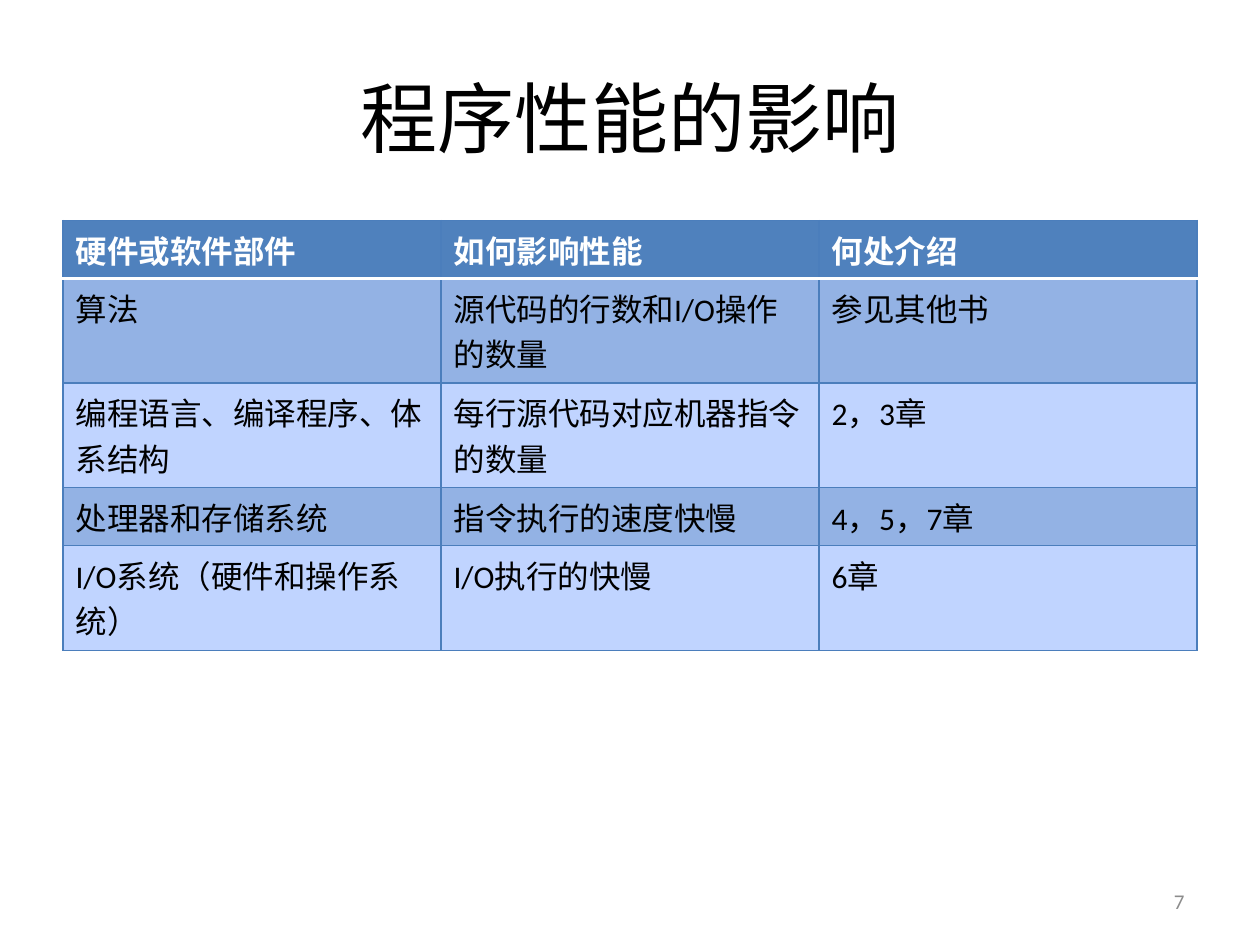
from lxml.etree import SubElement
from pptx import Presentation
from pptx.dml.color import RGBColor
from pptx.enum.lang import MSO_LANGUAGE_ID as Language
from pptx.enum.text import MSO_ANCHOR as Anchor, PP_ALIGN as Align
from pptx.oxml.ns import qn
from pptx.util import Inches, Pt

COLORS = {
    "text": "000000",
    "header_text": "FFFFFF",
    "number": "8C8C8C",
    "header": "4F81BD",
    "band_dark": "93B2E4",
    "band_light": "C0D4FF",
    "border": "4B7EBC",
    "header_rule": "FFFFFF",
}
TITLE = {"size": Pt(44), "bold": False}
HEADER = {"size": Pt(18), "bold": True}
BODY = {"size": Pt(18), "bold": False}
NUMBER = {"size": Pt(12), "bold": False}

ONE_LINE, TWO_LINES = 0.46, 0.83
ROWS = [
    (ONE_LINE, ("硬件或软件部件", "如何影响性能", "何处介绍")),
    (TWO_LINES, ("算法", "源代码的行数和I/O操作的数量", "参见其他书")),
    (TWO_LINES, ("编程语言、编译程序、体系结构", "每行源代码对应机器指令的数量", "2，3章")),
    (ONE_LINE, ("处理器和存储系统", "指令执行的速度快慢", "4，5，7章")),
    (TWO_LINES, ("I/O系统（硬件和操作系统）", "I/O执行的快慢", "6章")),
]


def write(frame, text, style, color, align=Align.LEFT):
    para = frame.paragraphs[0]
    para.alignment = align
    span = para.add_run()
    span.text = text
    values = {"name": "Calibri", "language_id": Language.SIMPLIFIED_CHINESE, **style}
    for name, value in values.items():
        setattr(span.font, name, value)
    span.font.color.rgb = RGBColor.from_string(COLORS[color])


def add_label(page, box, text, style, color, align):
    frame = page.shapes.add_textbox(*map(Inches, box)).text_frame
    frame.word_wrap = True
    frame.vertical_anchor = Anchor.MIDDLE
    write(frame, text, style, color, align)


def add_border(cell, side, color, width):
    line = SubElement(cell._tc.get_or_add_tcPr(), qn(f"a:ln{side}"), w=str(Pt(width)))
    fill = SubElement(line, qn("a:solidFill"))
    SubElement(fill, qn("a:srgbClr"), val=COLORS[color])


def add_performance_table(page, box):
    left, top, width, height = map(Inches, box)
    columns = len(ROWS[0][1])
    table = page.shapes.add_table(len(ROWS), columns, left, top, width, height).table
    table.horz_banding = False
    for row, (row_height, texts) in enumerate(ROWS):
        table.rows[row].height = Inches(row_height)
        is_header = row == 0
        band = "header" if is_header else ("band_light", "band_dark")[row % 2]
        # The white rule is shared by the header and the first body row
        ruled_side = {0: "B", 1: "T"}.get(row)
        for column, text in enumerate(texts):
            cell = table.cell(row, column)
            for side in "LRTB":
                rule = ("header_rule", 2) if side == ruled_side else ("border", 0.75)
                add_border(cell, side, *rule)
            cell.fill.solid()
            cell.fill.fore_color.rgb = RGBColor.from_string(COLORS[band])
            write(cell.text_frame, text, HEADER if is_header else BODY,
                  "header_text" if is_header else "text")


def main():
    deck = Presentation()
    deck.slide_width, deck.slide_height = Inches(10), Inches(7.5)
    page = deck.slides.add_slide(deck.slide_layouts[6])

    # Title
    add_label(page, (0.5, 0.3, 9, 1.25), "程序性能的影响", TITLE, "text", Align.CENTER)
    # Table
    table_height = sum(row_height for row_height, _ in ROWS)
    add_performance_table(page, (0.5, 1.75, 9, table_height))
    # Page number
    add_label(page, (7.17, 6.95, 2.33, 0.4), "7", NUMBER, "number", Align.RIGHT)

    deck.save("out.pptx")


if __name__ == "__main__":
    main()
